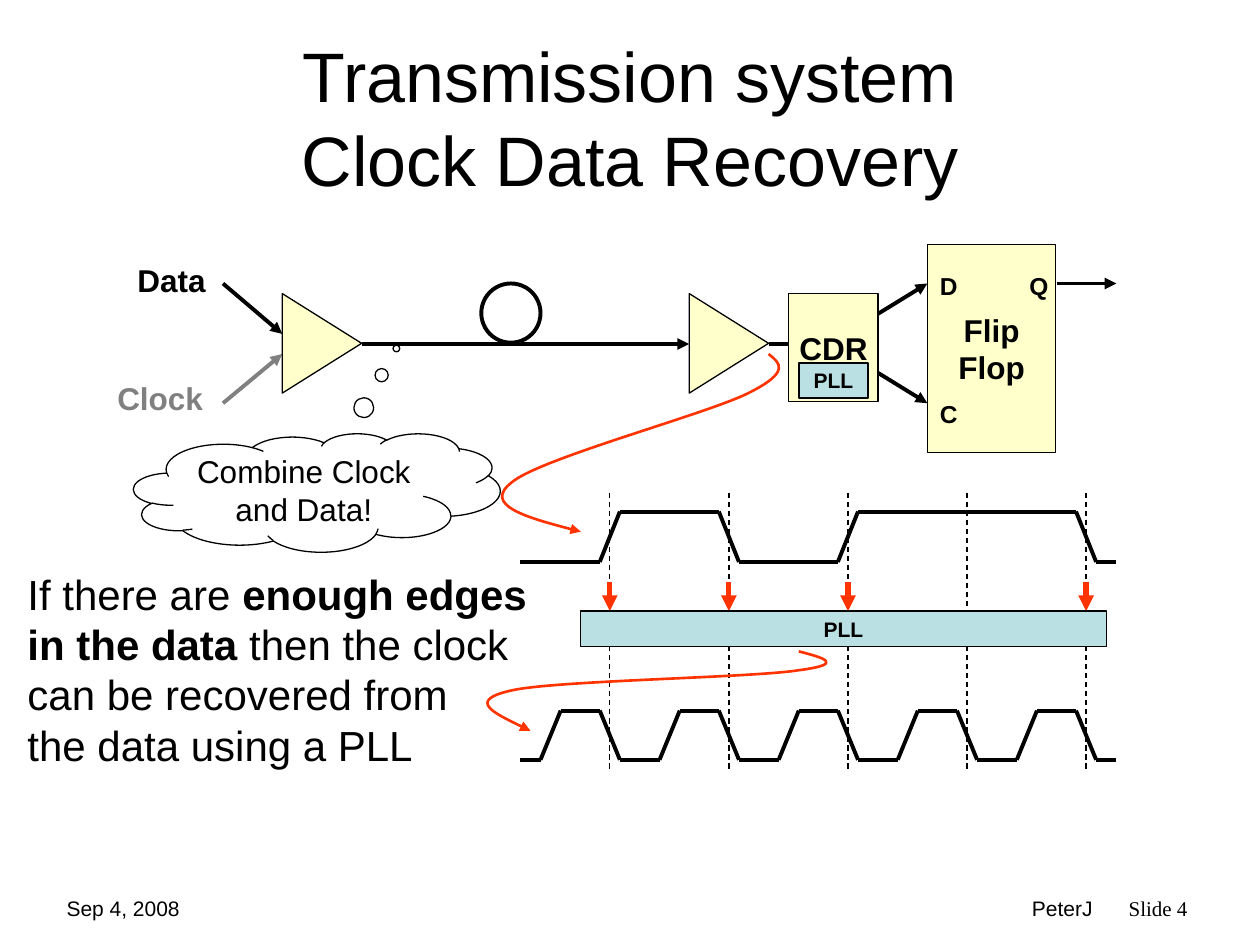
from lxml import etree
from pptx import Presentation
from pptx.dml.color import RGBColor
from pptx.enum import dml, shapes, text
from pptx.oxml.ns import qn
from pptx.util import Inches, Pt

COLORS = {"ink": "000000", "muted": "808080", "block": "FFFFCC",
          "pll": "BBE0E3", "signal": "FF3300", "paper": "FFFFFF"}
LEFT, CENTER, RIGHT = text.PP_ALIGN.LEFT, text.PP_ALIGN.CENTER, text.PP_ALIGN.RIGHT
SHAPE = shapes.MSO_SHAPE

prs = Presentation()
prs.slide_width, prs.slide_height = Inches(10), Inches(7.5)
slide = prs.slides.add_slide(prs.slide_layouts[6])
parts = slide.shapes


def write(shape, words, size, align=CENTER, bold=False, color="ink",
          anchor=text.MSO_ANCHOR.MIDDLE, wrap=False, font="Arial"):
    frame = shape.text_frame
    frame.text = words
    frame.word_wrap = wrap
    frame.vertical_anchor = anchor
    for paragraph in frame.paragraphs:
        paragraph.alignment = align
        for run in paragraph.runs:
            run.font.name, run.font.size, run.font.bold = font, Pt(size), bold
            run.font.color.rgb = RGBColor.from_string(COLORS[color])


def draw_line(start, end, color="ink", width=2.25, arrow=False):
    line = parts.add_connector(shapes.MSO_CONNECTOR.STRAIGHT,
                               *(Inches(value) for value in (*start, *end)))
    line.line.color.rgb = RGBColor.from_string(COLORS[color])
    line.line.width = Pt(width)
    if arrow:
        etree.SubElement(line.line._get_or_add_ln(), qn("a:tailEnd"), type="triangle")
    etree.SubElement(line._element.spPr, qn("a:effectLst"))
    return line


# Signal path from the inputs to the flip-flop output
for start, end, color, arrow in [
    ((1.77, 2.25), (2.24, 2.65), "ink", True),
    ((1.77, 3.2), (2.24, 2.81), "muted", True),
    ((2.87, 2.73), (5.47, 2.73), "ink", True),
    ((6.1, 2.73), (6.26, 2.73), "ink", False),
    ((6.97, 2.49), (7.36, 2.25), "ink", True),
    ((6.97, 2.96), (7.36, 3.2), "ink", True),
    ((8.39, 2.25), (8.86, 2.25), "ink", True),
]:
    draw_line(start, end, color, arrow=arrow)

# Timing diagram: one dashed marker per clock period
PERIOD, HALF_EDGE = 0.945, 0.08
START, END = 4.13, 8.86
edges = [4.84 + PERIOD * i for i in range(5)]
for x in edges:
    draw_line((x, 3.91), (x, 6.11), width=0.75).line.dash_style = dml.MSO_LINE.DASH

data_edges = [edges[i] for i in (0, 1, 2, 4)]
data_low, data_high = 4.46, 4.06
data_wave = [(START, data_low)]
for i, x in enumerate(data_edges):
    before, after = (data_low, data_high) if i % 2 == 0 else (data_high, data_low)
    data_wave += [(x - HALF_EDGE, before), (x + HALF_EDGE, after)]
data_wave.append((END, data_low))

clock_low, clock_high = 6.03, 5.64
clock_wave = [(START, clock_low)]
for x in edges:
    clock_wave += [(x - 0.55, clock_low), (x - 0.39, clock_high),
                   (x - HALF_EDGE, clock_high), (x + HALF_EDGE, clock_low)]
clock_wave.append((END, clock_low))

for wave in (data_wave, clock_wave):
    for start, end in zip(wave, wave[1:]):
        draw_line(start, end)
for x in data_edges:
    draw_line((x, 4.62), (x, 4.85), "signal", 3, arrow=True)

# Blocks: kind, box, fill, line width, rotation, words, text size, bold
for kind, box, fill, width, rotation, words, size, bold in [
    (SHAPE.ISOSCELES_TRIANGLE, (2.16, 2.41, 0.79, 0.63), "block", 0.75, 90, "", 18, False),
    (SHAPE.ISOSCELES_TRIANGLE, (5.39, 2.41, 0.79, 0.63), "block", 0.75, 90, "", 18, False),
    (SHAPE.OVAL, (3.82, 2.25, 0.47, 0.47), None, 2.25, 0, "", 18, False),
    (SHAPE.RECTANGLE, (7.36, 1.94, 1.02, 1.65), "block", 0.75, 0, "Flip\nFlop", 18, True),
    (SHAPE.RECTANGLE, (6.26, 2.33, 0.71, 0.86), "block", 0.75, 0, "CDR", 18, True),
    (SHAPE.RECTANGLE, (6.34, 2.88, 0.55, 0.28), "pll", 0.75, 0, "PLL", 12, True),
    (SHAPE.RECTANGLE, (4.61, 4.85, 4.17, 0.28), "pll", 0.75, 0, "PLL", 12, True),
    (SHAPE.CLOUD_CALLOUT, (1.06, 3.44, 2.91, 0.94), "paper", 0.75, 0,
     "Combine Clock and Data!", 18, False),
]:
    block = parts.add_shape(kind, *(Inches(value) for value in box))
    block.shadow.inherit = False
    block.rotation = rotation
    if fill:
        block.fill.solid()
        block.fill.fore_color.rgb = RGBColor.from_string(COLORS[fill])
    else:
        block.fill.background()
    block.line.color.rgb = RGBColor.from_string(COLORS["ink"])
    block.line.width = Pt(width)
    if words:
        write(block, words, size, bold=bold, wrap=kind == SHAPE.CLOUD_CALLOUT)
    if kind == SHAPE.CLOUD_CALLOUT:
        block.adjustments[0], block.adjustments[1] = 0.217, -1.217

# Curved arrows: a start point, then three Bezier points per segment
for points in [
    [(6.1, 2.81), (6.19, 2.88), (6.28, 2.95), (5.94, 3.12), (5.6, 3.29),
     (4.28, 3.64), (4.06, 3.83), (3.83, 4.01), (4.22, 4.12), (4.61, 4.22)],
    [(6.34, 5.17), (6.53, 5.22), (6.72, 5.27), (6.34, 5.32), (5.96, 5.38),
     (4.41, 5.4), (4.06, 5.48), (3.7, 5.56), (3.96, 5.68), (4.21, 5.8)],
]:
    builder = parts.build_freeform(*(Inches(value) for value in points[0]))
    builder.add_line_segments([(Inches(x), Inches(y)) for x, y in points[1:]], close=False)
    curve = builder.convert_to_shape()
    outline = next(curve._element.iter(qn("a:path")))
    steps = outline.findall(qn("a:lnTo"))
    for i in range(0, len(steps), 3):
        bezier = etree.SubElement(outline, qn("a:cubicBezTo"))
        for step in steps[i:i + 3]:
            bezier.append(step[0])
            outline.remove(step)
    curve.shadow.inherit = False
    curve.fill.background()
    curve.line.color.rgb = RGBColor.from_string(COLORS["signal"])
    curve.line.width = Pt(1.5)
    etree.SubElement(curve.line._get_or_add_ln(), qn("a:tailEnd"), type="triangle")

# Labels: words, box, size, alignment, bold, color, font
for words, box, size, align, bold, color, font in [
    ("D", (7.36, 2.1, 0.34, 0.34), 14, CENTER, True, "ink", "Arial"),
    ("C", (7.36, 3.12, 0.34, 0.34), 14, CENTER, True, "ink", "Arial"),
    ("Q", (8.07, 2.1, 0.35, 0.34), 14, CENTER, True, "ink", "Arial"),
    ("Data", (0.99, 2.02, 0.74, 0.4), 18, RIGHT, True, "ink", "Arial"),
    ("Clock", (0.83, 2.96, 0.88, 0.4), 18, RIGHT, True, "muted", "Arial"),
    ("Sep 4, 2008", (0.43, 7.06, 1.45, 0.29), 12, LEFT, False, "ink", "Arial"),
    ("PeterJ", (6.34, 7.06, 2.43, 0.29), 12, RIGHT, False, "ink", "Arial"),
    ("Slide 4", (8.86, 7.06, 0.94, 0.3), 12, LEFT, False, "ink", "Times New Roman"),
]:
    label = parts.add_textbox(*(Inches(value) for value in box))
    write(label, words, size, align, bold, color, text.MSO_ANCHOR.TOP,
          wrap=box[1] > 7, font=font)

title = parts.add_textbox(Inches(0.5), Inches(0.3), Inches(9), Inches(1.25))
write(title, "Transmission system\vClock Data Recovery", 40, wrap=True)

# Conclusion, with the key phrase in bold
conclusion_lines = [
    [("If there are ", False), ("enough edges", True)],
    [("in the data", True), (" then the clock", False)],
    [("can be recovered from", False)],
    [("the data using a PLL", False)],
]
conclusion = parts.add_textbox(Inches(0.12), Inches(4.46), Inches(4.3), Inches(1.7))
frame = conclusion.text_frame
frame.text = "\n".join(pieces[0][0] for pieces in conclusion_lines)
frame.word_wrap = True
for paragraph, pieces in zip(frame.paragraphs, conclusion_lines):
    for words, _ in pieces[1:]:
        paragraph.add_run().text = words
    for run, (_, bold) in zip(paragraph.runs, pieces):
        run.font.name, run.font.size, run.font.bold = "Arial", Pt(24), bold
        run.font.color.rgb = RGBColor.from_string(COLORS["ink"])

prs.save("out.pptx")
